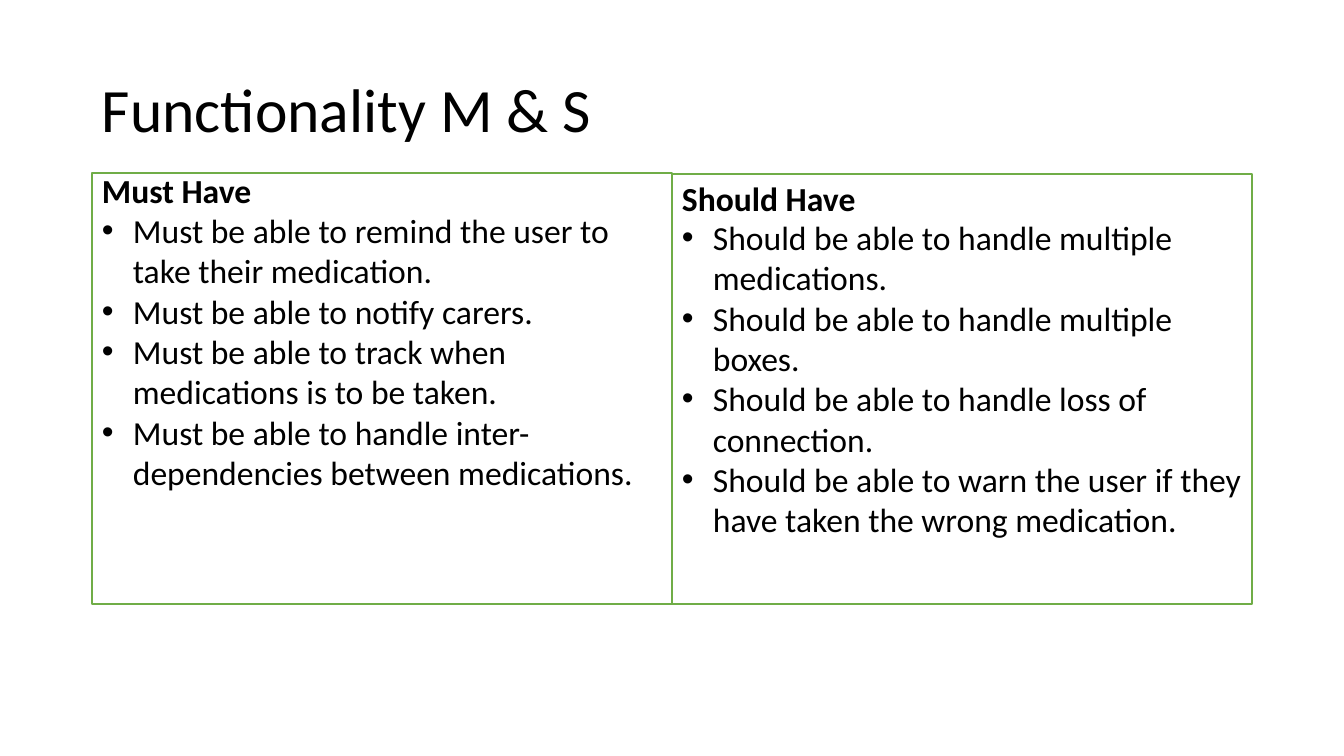
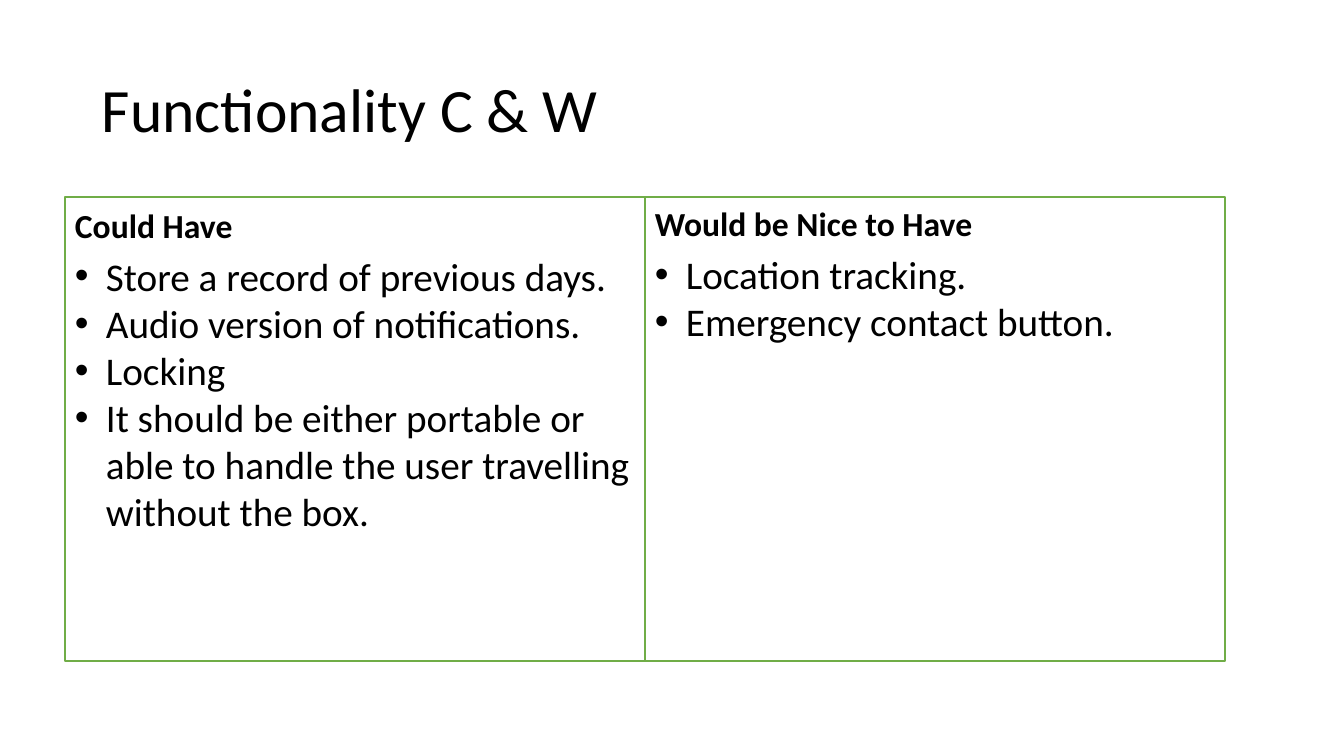
from lxml.etree import SubElement
from pptx import Presentation
from pptx.dml.color import RGBColor as Rgb
from pptx.enum.shapes import MSO_SHAPE as Shape
from pptx.enum.text import MSO_ANCHOR as Anchor, MSO_AUTO_SIZE as Fit
from pptx.oxml.ns import qn
from pptx.util import Pt

SCALE = 914400 / 100.8
COLORS = {"text": "000000", "fill": "FFFFFF", "line": "70AD47"}
FONT = "Calibri"
TITLE = (92, 40, 1159, 146)
WIDTH, HEAD, INDENT = 580, 50, 31


def px(num):
    """Turn pixels into EMU."""
    return round(num * SCALE)


def color(name):
    """Look up a named colour."""
    return Rgb.from_string(COLORS[name])


def write(slide, box, lines, size, bold=False):
    """Add a text box with one paragraph per line."""
    frame = slide.shapes.add_textbox(*map(px, box)).text_frame
    frame.word_wrap = True
    frame.text = "\n".join(lines)
    for para in frame.paragraphs:
        for run in para.runs:
            font = run.font
            font.name, font.size, font.bold = FONT, Pt(size), bold
            font.color.rgb = color("text")
    return frame


def title(slide, box, text):
    """Add the slide title, centred vertically in its box."""
    frame = write(slide, box, [text], 44)
    frame.vertical_anchor = Anchor.MIDDLE
    frame.paragraphs[0].line_spacing = 0.9


def bullets(slide, box, items, size):
    """Add a bulleted list with hanging indents."""
    frame = write(slide, box, items, size)
    frame.auto_size = Fit.SHAPE_TO_FIT_TEXT
    for para in frame.paragraphs:
        props = para._p.get_or_add_pPr()
        props.set("marL", str(px(INDENT)))
        props.set("indent", str(-px(INDENT)))
        SubElement(props, qn("a:buFont"), typeface="Arial")
        SubElement(props, qn("a:buChar"), char="•")


def panel(slide, box, size, part):
    """Add a framed column: heading, then list, offset from its top."""
    left, top, wide, high = box
    head, rise, drop, tall, items = part
    rect = slide.shapes.add_shape(Shape.RECTANGLE, *map(px, box))
    rect.shadow.inherit = False
    rect.fill.solid()
    rect.fill.fore_color.rgb = color("fill")
    rect.line.color.rgb = color("line")
    rect.line.width = Pt(1)
    frame = write(slide, (left, top + rise, wide, HEAD), [head], 24, True)
    frame.auto_size = Fit.SHAPE_TO_FIT_TEXT
    bullets(slide, (left, top + drop, wide, tall), items, size)


def page(deck, name, left, low, size, cols):
    """Add a slide with a title and adjoining panels ending at low."""
    slide = deck.slides.add_slide(deck.slide_layouts[6])
    title(slide, TITLE, name)
    for num, (top, *part) in enumerate(cols):
        box = (left + num * WIDTH, top, WIDTH, low - top)
        panel(slide, box, size, part)


# Each column: top, heading, heading offset, list offset, list height, items
MUST = (173, "Must Have", -8, 32, 295, [
    "Must be able to remind the user to take their medication.",
    "Must be able to notify carers.",
    "Must be able to track when medications is to be taken.",
    "Must be able to handle inter-dependencies between medications.",
])
SHOULD = (174, "Should Have", -1, 38, 377, [
    "Should be able to handle multiple medications. ",
    "Should be able to handle multiple boxes.",
    "Should be able to handle loss of connection.",
    "Should be able to warn the user if they have taken the wrong medication.",
])
COULD = (197, "Could Have", 3, 50, 295, [
    "Store a record of previous days.",
    "Audio version of notifications.",
    "Locking",
    "It should be either portable or able to handle the user travelling "
    "without the box.",
])
WOULD = (197, "Would be Nice to Have", 1, 48, 105, [
    "Location tracking.",
    "Emergency contact button.",
])

deck = Presentation()
deck.slide_width, deck.slide_height = px(1344), px(756)
page(deck, "Functionality M & S", 92, 604, 24, [MUST, SHOULD])
page(deck, "Functionality C & W", 65, 661, 28, [COULD, WOULD])
deck.save("out.pptx")
